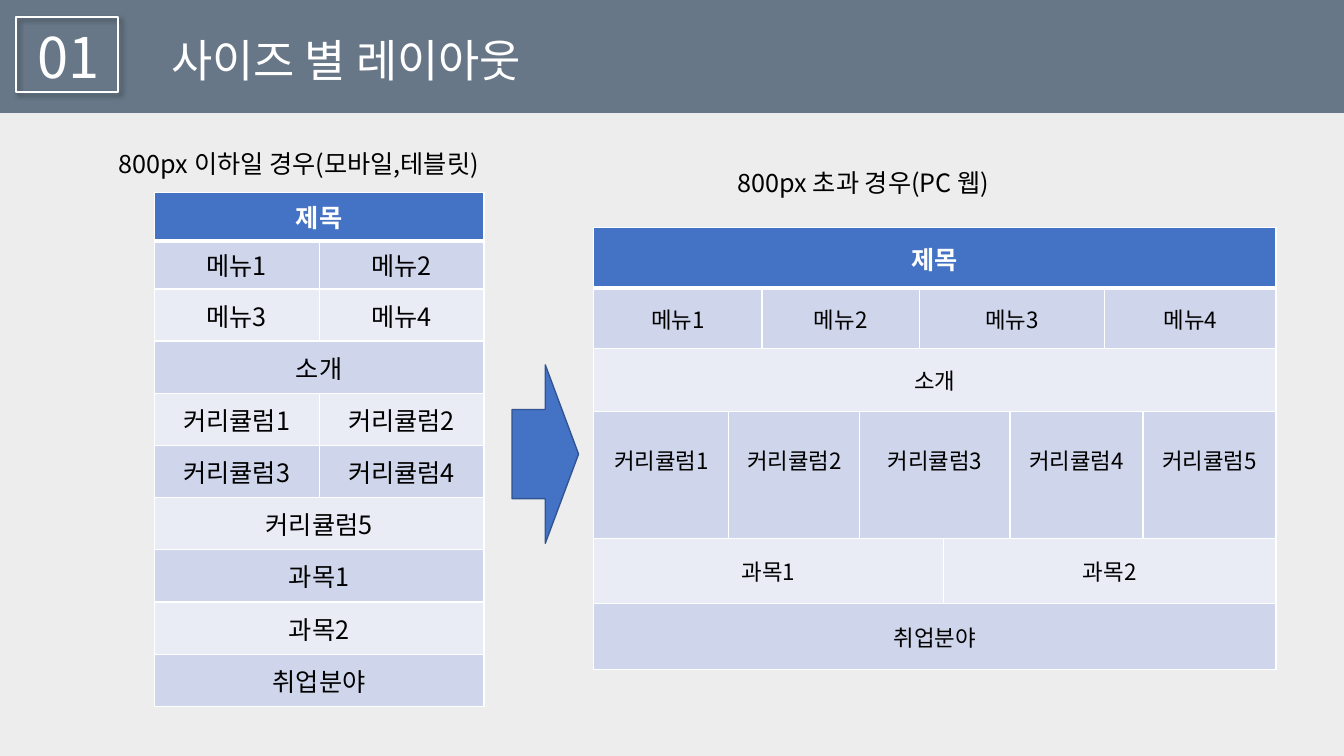
from dataclasses import dataclass
from typing import NamedTuple

from lxml.etree import SubElement
from pptx import Presentation
from pptx.dml.color import RGBColor
from pptx.enum.shapes import MSO_SHAPE
from pptx.enum.text import MSO_ANCHOR, MSO_AUTO_SIZE, PP_ALIGN
from pptx.oxml import parse_xml
from pptx.oxml.ns import nsdecls, qn
from pptx.util import Inches, Pt

SLIDE_WIDTH, SLIDE_HEIGHT = Inches(13.333), Inches(7.5)
FONT = "Noto Sans CJK KR"
WHITE, BLACK, BLUE = "FFFFFF", "000000", "4472C4"
BANDS = ("CFD5EA", "E9EBF5")


class Box(NamedTuple):
    """Left, top, width and height in percent of the slide's size."""
    left: float
    top: float
    width: float
    height: float

    def place(self) -> tuple[int, int, int, int]:
        return (int(SLIDE_WIDTH * self.left / 100), int(SLIDE_HEIGHT * self.top / 100),
                int(SLIDE_WIDTH * self.width / 100), int(SLIDE_HEIGHT * self.height / 100))


class Block(NamedTuple):
    text: str
    span: int


@dataclass
class LayoutTable:
    box: Box
    columns: list[int]  # relative widths
    rows: list[int]  # relative heights
    blocks: list[list[Block]]
    size: int
    raised_row: int = -1  # row whose text sits above the middle


@dataclass
class Caption:
    box: Box
    text: str


CAPTIONS = [
    Caption(Box(8.1, 18.93, 31.2, 5.33), "800px 이하일 경우(모바일,테블릿)"),
    Caption(Box(54.15, 21.47, 31.2, 5.33), "800px 초과 경우(PC 웹)"),
]

MOBILE = LayoutTable(
    Box(11.48, 25.47, 24.53, 68), [1, 1], [12] * 2 + [13] * 8,
    [
        [Block("제목", 2)],
        [Block("메뉴1", 1), Block("메뉴2", 1)],
        [Block("메뉴3", 1), Block("메뉴4", 1)],
        [Block("소개", 2)],
        [Block("커리큘럼1", 1), Block("커리큘럼2", 1)],
        [Block("커리큘럼3", 1), Block("커리큘럼4", 1)],
        [Block("커리큘럼5", 2)],
        [Block("과목1", 2)],
        [Block("과목2", 2)],
        [Block("취업분야", 2)],
    ], size=18)

DESKTOP = LayoutTable(
    Box(44.18, 30.13, 50.18, 58.4),
    [134, 33, 97, 59, 16, 66, 94, 38, 132], [60, 60, 62, 126, 65, 65],
    [
        [Block("제목", 9)],
        [Block("메뉴1", 2), Block("메뉴2", 2), Block("메뉴3", 3), Block("메뉴4", 2)],
        [Block("소개", 9)],
        [Block("커리큘럼1", 1), Block("커리큘럼2", 2), Block("커리큘럼3", 3),
         Block("커리큘럼4", 2), Block("커리큘럼5", 1)],
        [Block("과목1", 5), Block("과목2", 4)],
        [Block("취업분야", 9)],
    ], size=16, raised_row=3)


def color(value: str) -> RGBColor:
    return RGBColor.from_string(value)


def write(frame, text: str, *, size: int, fill: str = BLACK, font: str = FONT,
          bold: bool = False, align=PP_ALIGN.LEFT) -> None:
    paragraph = frame.paragraphs[0]
    paragraph.alignment = align
    run = paragraph.add_run()
    run.text = text
    run.font.name, run.font.size, run.font.bold = font, Pt(size), bold
    run.font.color.rgb = color(fill)
    SubElement(run.font._element, qn("a:ea")).set("typeface", FONT)


def add_text(slide, box: Box, text: str, *, wrap: bool = True, **style) -> None:
    frame = slide.shapes.add_textbox(*box.place()).text_frame
    frame.word_wrap = wrap
    write(frame, text, **style)


def add_figure(slide, kind, box: Box, *, fill: str = "", line: str = "", weight: float = 1):
    shape = slide.shapes.add_shape(kind, *box.place())
    shape.shadow.inherit = False
    if fill:
        shape.fill.solid()
        shape.fill.fore_color.rgb = color(fill)
    else:
        shape.fill.background()
    if line:
        shape.line.color.rgb = color(line)
        shape.line.width = Pt(weight)
    else:
        shape.line.fill.background()
    return shape


def add_shadow(shape) -> None:
    effects = shape.element.spPr.find(qn("a:effectLst"))
    effects.append(parse_xml(
        f'<a:outerShdw {nsdecls("a")} blurRad="{Pt(4)}" dist="{Pt(3)}" dir="2700000" '
        'algn="tl" rotWithShape="0"><a:srgbClr val="000000"><a:alpha val="40000"/>'
        '</a:srgbClr></a:outerShdw>'))


def set_borders(cell, top: float, bottom: float) -> None:
    properties = cell._tc.get_or_add_tcPr()
    for index, (side, weight) in enumerate(zip("LRTB", (1, 1, top, bottom))):
        properties.insert(index, parse_xml(
            f'<a:ln{side} {nsdecls("a")} w="{Pt(weight)}"><a:solidFill>'
            f'<a:srgbClr val="{WHITE}"/></a:solidFill></a:ln{side}>'))


def add_layout_table(slide, layout: LayoutTable) -> None:
    left, top, width, height = layout.box.place()
    table = slide.shapes.add_table(
        len(layout.rows), len(layout.columns), left, top, width, height).table
    for column, share in zip(table.columns, layout.columns):
        column.width = int(width * share / sum(layout.columns))
    for row, share in zip(table.rows, layout.rows):
        row.height = int(height * share / sum(layout.rows))

    for row, blocks in enumerate(layout.blocks):
        heading = row == 0
        for column in range(len(layout.columns)):
            cell = table.cell(row, column)
            cell.fill.solid()
            cell.fill.fore_color.rgb = color(BLUE if heading else BANDS[(row - 1) % 2])
            set_borders(cell, top=3 if row == 1 else 1, bottom=3 if heading else 1)
        start = 0
        for block in blocks:
            cell = table.cell(row, start)
            if block.span > 1:
                cell.merge(table.cell(row, start + block.span - 1))
            cell.vertical_anchor = MSO_ANCHOR.MIDDLE
            if row == layout.raised_row:
                cell.margin_bottom = Inches(0.35)
            write(cell.text_frame, block.text, size=18 if heading else layout.size,
                  fill=WHITE if heading else BLACK, bold=heading, align=PP_ALIGN.CENTER)
            start += block.span


def main() -> None:
    presentation = Presentation()
    presentation.slide_width, presentation.slide_height = SLIDE_WIDTH, SLIDE_HEIGHT
    slide = presentation.slides.add_slide(presentation.slide_layouts[5])
    slide.background.fill.solid()
    slide.background.fill.fore_color.rgb = color("EDEDED")

    # Banner with section number and title
    banner = add_figure(slide, MSO_SHAPE.RECTANGLE, Box(0, 0, 100, 14.95), fill="677787")
    number_frame = add_figure(slide, MSO_SHAPE.RECTANGLE, Box(1.2, 2.27, 7.58, 9.87),
                              line=WHITE, weight=1.5)
    add_shadow(number_frame)
    add_text(slide, Box(2.03, 2.27, 6.75, 10.27), "01", wrap=False, size=40, fill=WHITE)
    title = slide.shapes.title
    title.left, title.top, title.width, title.height = Box(10.35, 3.6, 30.83, 8.53).place()
    title.text_frame.word_wrap = False
    title.text_frame.auto_size = MSO_AUTO_SIZE.NONE
    title.text_frame.vertical_anchor = MSO_ANCHOR.TOP
    write(title.text_frame, "사이즈 별 레이아웃", size=32, fill=WHITE, font="Arial",
          align=PP_ALIGN.CENTER)
    banner.element.addnext(title.element)  # title in front of the banner

    # Captions, the two layouts and the arrow between them
    for caption in CAPTIONS:
        add_text(slide, caption.box, caption.text, size=18)
    for layout in (MOBILE, DESKTOP):
        add_layout_table(slide, layout)
    add_figure(slide, MSO_SHAPE.RIGHT_ARROW, Box(38.1, 48.27, 4.95, 23.6),
               fill=BLUE, line="325491")

    presentation.save("out.pptx")


if __name__ == "__main__":
    main()
